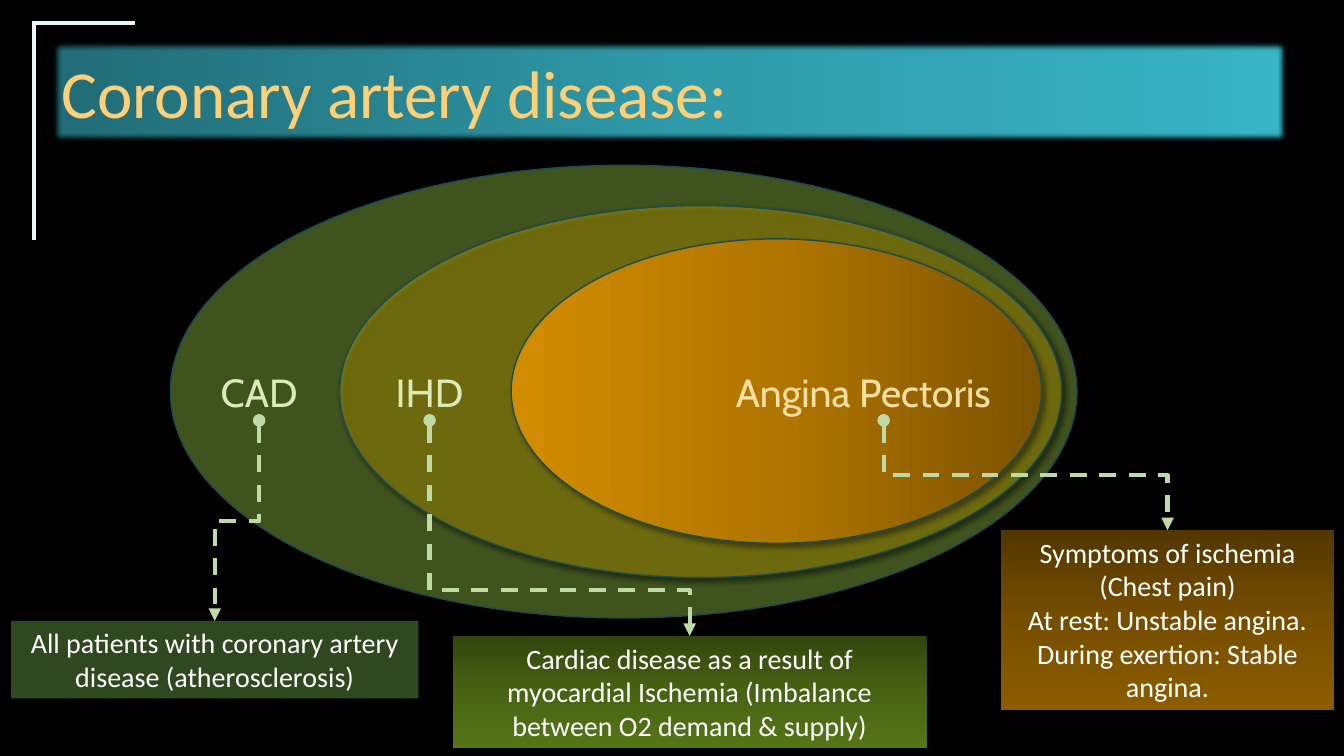
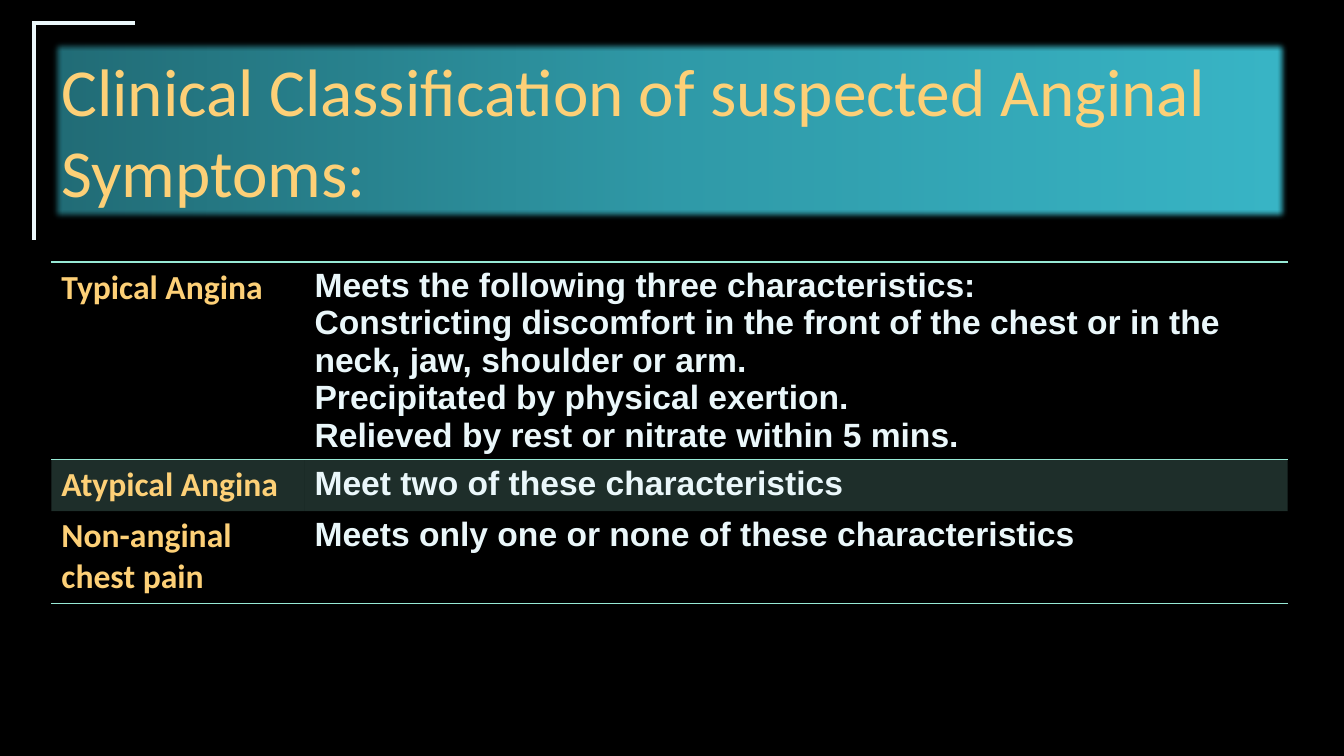
from dataclasses import dataclass

from lxml.etree import SubElement
from pptx import Presentation
from pptx.dml.color import RGBColor
from pptx.enum.dml import MSO_LINE
from pptx.enum.shapes import MSO_CONNECTOR, MSO_SHAPE
from pptx.enum.text import MSO_ANCHOR, PP_ALIGN
from pptx.oxml.ns import qn
from pptx.util import Inches, Pt


@dataclass(frozen=True)
class Theme:
    background: str = "000000"
    ink: str = "EAF7FA"
    white: str = "FFFFFF"
    gold: str = "FDD077"
    pale_gold: str = "FEE0A4"
    pale_green: str = "DAECB6"
    arrow: str = "BEDAA9"
    mint: str = "97E9D5"
    title_line: str = "30818C"
    ellipse_line: str = "1C4C53"
    title_band: tuple = ("216B75", "2F99A7", "38B5C6")
    green: str = "A2CF49"
    yellow: str = "D7BF0C"
    orange: tuple = ("D28C00", "B17600", "7C5300")
    dark_green: str = "30481F"
    olive: tuple = ("33450E", "486313", "557517")
    brown: tuple = ("533700", "764E00", "8C5D00")
    font: str = "Calibri"
    label_font: str = "Cabin"
    table_font: str = "Arial"
    title_size: int = 48
    label_size: int = 28
    table_size: int = 24
    card_size: int = 20


theme = Theme()


def write_text(frame, text, color, size, font=theme.font, bold=False,
               align=PP_ALIGN.LEFT, anchor=MSO_ANCHOR.TOP):
    """Fill a text frame, one paragraph for each line of text."""
    frame.word_wrap = True
    frame.vertical_anchor = anchor
    for index, line in enumerate(text.split("\n")):
        paragraph = frame.add_paragraph() if index else frame.paragraphs[0]
        paragraph.alignment = align
        run = paragraph.add_run()
        run.text = line
        run.font.name = font
        run.font.size = Pt(size)
        run.font.bold = bold
        run.font.color.rgb = RGBColor.from_string(color)


def add_panel(slide, kind, box, fill, line=None, angle=0, alpha=None, shadow=False):
    """Add a shape; a tuple of colours as fill gives an even gradient."""
    shape = slide.shapes.add_shape(kind, *map(Inches, box))
    shape.shadow.inherit = False
    properties = shape._element.spPr
    if isinstance(fill, tuple):
        shape.fill.gradient()
        shape.fill.gradient_angle = angle
        stops = properties.find(".//" + qn("a:gsLst"))
        for stop in list(stops):
            stops.remove(stop)
        for index, color in enumerate(fill):
            position = index * 100000 // (len(fill) - 1)
            stop = SubElement(stops, qn("a:gs"), pos=str(position))
            SubElement(stop, qn("a:srgbClr"), val=color)
    else:
        shape.fill.solid()
        shape.fill.fore_color.rgb = RGBColor.from_string(fill)
    if alpha:
        SubElement(properties.find(".//" + qn("a:srgbClr")), qn("a:alpha"), val=str(alpha * 1000))
    if line:
        shape.line.color.rgb = RGBColor.from_string(line)
        shape.line.width = Pt(1)
    else:
        shape.line.fill.background()
    if shadow:
        outer = SubElement(properties.find(qn("a:effectLst")), qn("a:outerShdw"),
                           blurRad=str(Pt(4)), dist=str(Pt(3)), dir="2700000", rotWithShape="0")
        SubElement(SubElement(outer, qn("a:srgbClr"), val="000000"), qn("a:alpha"), val="40000")
    return shape


presentation = Presentation()
presentation.slide_width = Inches(13.33)
presentation.slide_height = Inches(7.5)
background = presentation.slide_master.background.fill
background.solid()
background.fore_color.rgb = RGBColor.from_string(theme.background)

# Shared frame: corner lines and title band
slides = []
for title, band_height in [
    ("Coronary artery disease:", 1.02),
    ("Clinical Classification of suspected Anginal Symptoms:", 1.78),
]:
    slide = presentation.slides.add_slide(presentation.slide_layouts[6])
    for ends in [(0.32, 0.23, 1.34, 0.23), (0.34, 0.23, 0.34, 2.38)]:
        corner = slide.shapes.add_connector(MSO_CONNECTOR.STRAIGHT, *map(Inches, ends))
        corner.line.color.rgb = RGBColor.from_string(theme.ink)
        corner.line.width = Pt(3)
        SubElement(corner._element.spPr, qn("a:effectLst"))
    band = add_panel(slide, MSO_SHAPE.RECTANGLE, (0.51, 0.4, 12.26, band_height),
                     theme.title_band, line=theme.title_line)
    SubElement(band._element.spPr.find(qn("a:effectLst")), qn("a:softEdge"), rad=str(Pt(5)))
    write_text(band.text_frame, title, theme.gold, theme.title_size, anchor=MSO_ANCHOR.MIDDLE)
    slides.append(slide)
disease_slide, classification_slide = slides

# Nested ellipses
for box, fill, alpha in [
    ((1.69, 1.64, 8.99, 4.49), theme.green, 40),
    ((3.37, 2.04, 7.16, 3.69), theme.yellow, 40),
    ((5.07, 2.37, 5.26, 3.02), theme.orange, None),
]:
    add_panel(disease_slide, MSO_SHAPE.OVAL, box, fill, line=theme.ellipse_line,
              alpha=alpha, shadow=True)

# Each label with its explanation and the arrow between them
for label, left, width, label_color, align, text, box, fill, bend in [
    ("Angina Pectoris", 7.2, 3.13, theme.pale_gold, PP_ALIGN.LEFT,
     "Symptoms of ischemia\n(Chest pain)\nAt rest: Unstable angina.\nDuring exertion: Stable angina.",
     (9.93, 5.26, 3.3, 1.78), theme.brown, 50),
    ("IHD", 3.74, 1.04, theme.pale_green, PP_ALIGN.CENTER,
     "Cardiac disease as a result of myocardial Ischemia (Imbalance between O2 demand & supply)",
     (4.49, 6.31, 4.7, 1.11), theme.olive, 78.8),
    ("CAD", 2.05, 1.04, theme.pale_green, PP_ALIGN.CENTER,
     "All patients with coronary artery disease (atherosclerosis)",
     (0.11, 6.16, 4.04, 0.77), theme.dark_green, 50),
]:
    label_box = disease_slide.shapes.add_textbox(*map(Inches, (left, 3.6, width, 0.57)))
    write_text(label_box.text_frame, label, label_color, theme.label_size,
               font=theme.label_font, align=align)
    card = add_panel(disease_slide, MSO_SHAPE.RECTANGLE, box, fill, angle=270)
    write_text(card.text_frame, text, theme.white, theme.card_size, align=PP_ALIGN.CENTER)

    start_x, start_y = label_box.left + label_box.width // 2, label_box.top + label_box.height
    end_x, end_y = card.left + card.width // 2, card.top
    arrow = disease_slide.shapes.add_connector(MSO_CONNECTOR.ELBOW, start_x, start_y, end_x, end_y)
    arrow.begin_connect(label_box, 2)
    arrow.end_connect(card, 0)
    # A quarter turn makes the elbow leave and arrive vertically
    drop, run_across = end_y - start_y, abs(end_x - start_x)
    arrow.left = (start_x + end_x - drop) // 2
    arrow.top = (start_y + end_y - run_across) // 2
    arrow.width, arrow.height = drop, run_across
    rightward = end_x > start_x
    properties = arrow._element.spPr
    transform = properties.find(qn("a:xfrm"))
    transform.set("rot", "16200000" if rightward else "5400000")
    transform.set("flipH", "1" if rightward else "0")
    adjustments = properties.find(qn("a:prstGeom")).get_or_add_avLst()
    SubElement(adjustments, qn("a:gd"), name="adj1", fmla=f"val {round(bend * 1000)}")
    arrow.line.color.rgb = RGBColor.from_string(theme.arrow)
    arrow.line.width = Pt(3)
    arrow.line.dash_style = MSO_LINE.DASH
    line_element = properties.find(qn("a:ln"))
    SubElement(line_element, qn("a:headEnd"), type="oval")
    SubElement(line_element, qn("a:tailEnd"), type="triangle")
    SubElement(properties, qn("a:effectLst"))

# Classification table
rows = [
    ("Typical Angina",
     "Meets the following three characteristics:\n"
     "Constricting discomfort in the front of the chest or in the neck, jaw, shoulder or arm.\n"
     "Precipitated by physical exertion.\n"
     "Relieved by rest or nitrate within 5 mins.", 1.96, ("a:lnT", "a:lnB")),
    ("Atypical Angina", "Meet two of these characteristics", 0.51, ()),
    ("Non-anginal chest pain", "Meets only one or none of these characteristics", 0.91, ("a:lnB",)),
]
frame = classification_slide.shapes.add_table(
    len(rows), 2, *map(Inches, (0.51, 2.6, 12.26, sum(row[2] for row in rows))))
table = frame.table
table.first_row = table.horz_banding = False
no_grid_style = "{2D5ABB26-0587-4C30-8999-92F81FD0307C}"
frame._element.find(".//" + qn("a:tableStyleId")).text = no_grid_style
for column, width in zip(table.columns, (2.51, 9.75)):
    column.width = Inches(width)
for row_index, (name, criteria, height, borders) in enumerate(rows):
    table.rows[row_index].height = Inches(height)
    for column_index, (text, color, font) in enumerate([
        (name, theme.gold, theme.font), (criteria, theme.ink, theme.table_font),
    ]):
        cell = table.cell(row_index, column_index)
        write_text(cell.text_frame, text, color, theme.table_size, font=font, bold=True)
        properties = cell._tc.get_or_add_tcPr()
        for border in borders:
            line_element = SubElement(properties, qn(border), w=str(Pt(1)))
            SubElement(SubElement(line_element, qn("a:solidFill")), qn("a:srgbClr"), val=theme.mint)
        if row_index == 1:
            cell.fill.solid()
            cell.fill.fore_color.rgb = RGBColor.from_string(theme.mint)
            SubElement(properties.find(".//" + qn("a:srgbClr")), qn("a:alpha"), val="20000")
        else:
            cell.fill.background()

presentation.save("out.pptx")
